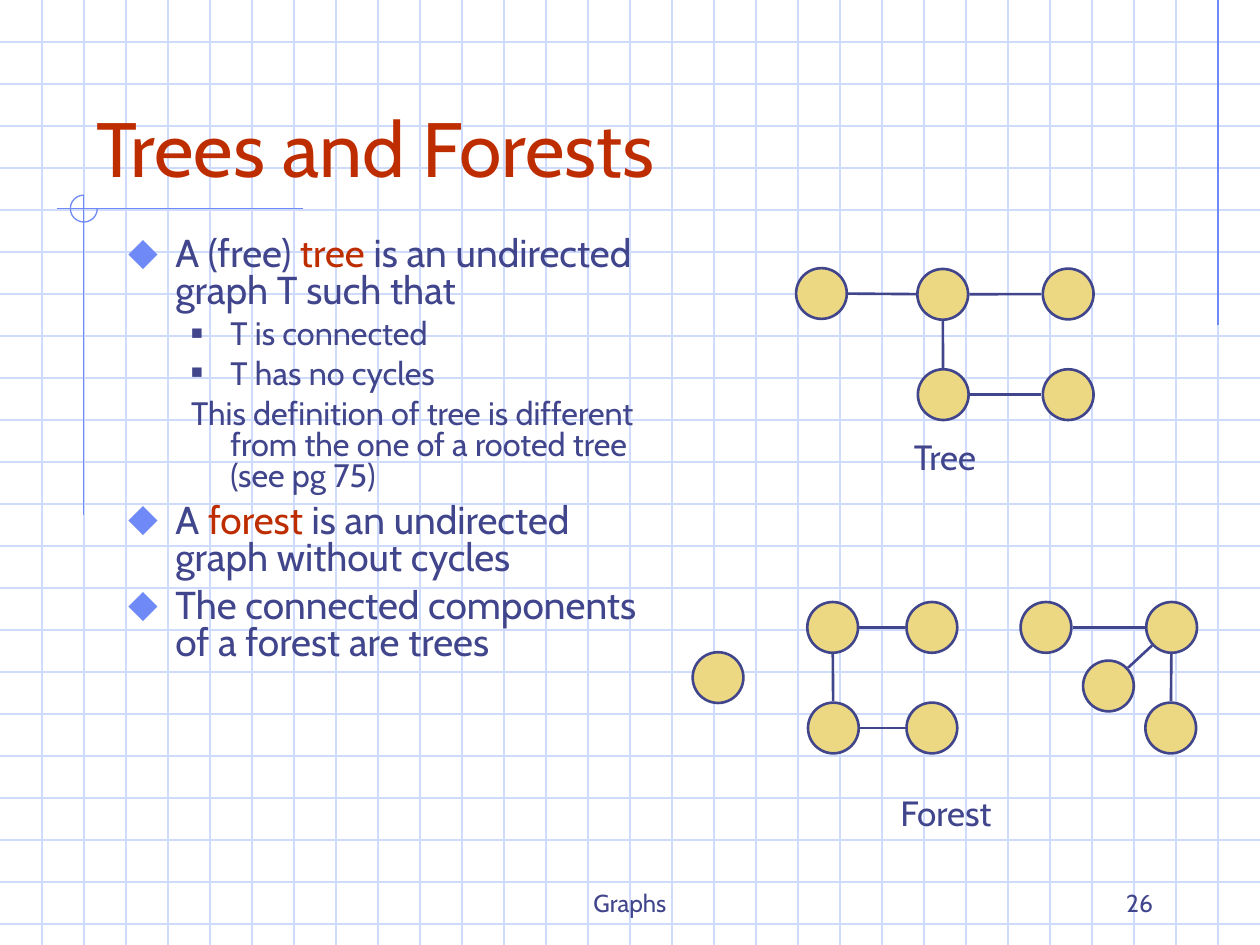
from math import hypot

from lxml import etree
from pptx import Presentation
from pptx.dml.color import RGBColor
from pptx.enum.shapes import MSO_CONNECTOR, MSO_SHAPE
from pptx.enum.text import MSO_ANCHOR, MSO_AUTO_SIZE, PP_ALIGN
from pptx.oxml.ns import qn
from pptx.util import Pt

STRAIGHT = MSO_CONNECTOR.STRAIGHT
ELLIPSE, ARC = MSO_SHAPE.OVAL, MSO_SHAPE.ARC
TOP, BOTTOM = MSO_ANCHOR.TOP, MSO_ANCHOR.BOTTOM
LEFT, CENTER, RIGHT = PP_ALIGN.LEFT, PP_ALIGN.CENTER, PP_ALIGN.RIGHT
NO_AUTOFIT = MSO_AUTO_SIZE.NONE

COLORS = {
    "grid": "CFDBFD",
    "accent": "6F89F7",
    "text": "40458C",
    "highlight": "BE2D00",
    "node": "ECD882",
}
FONT = "Cabin"
WIDTH, HEIGHT, GRID_STEP = 720, 540, 24
NODE_SIZE, EDGE_GAP = 29, 0.8

# Level: left margin, hanging indent, size, space before, bullet, its colour and percent
LEVELS = [
    (27, 27, 22.2, 6, "⬥", "accent", 110),
    (58.5, 22.5, 18.5, 5, "■", "text", 60),
]
# Level, has bullet, runs of (text, colour)
BODY = [
    (0, True, [("A (free) ", "text"), ("tree", "highlight"),
               (" is an undirected graph T such that", "text")]),
    (1, True, [("T is connected", "text")]),
    (1, True, [("T has no cycles", "text")]),
    (1, False, [("This definition of tree is different from the one "
                 "of a rooted tree (see pg 75)", "text")]),
    (0, True, [("A ", "text"), ("forest", "highlight"),
               (" is an undirected graph without cycles", "text")]),
    (0, True, [("The connected components of a forest are trees", "text")]),
]

# Node centres, and edges as pairs of node numbers
TREE_NODES = [(469.4, 167.7), (538.7, 168.2), (610.4, 168), (539, 225.5), (610.4, 225.5)]
TREE_EDGES = [(0, 1), (1, 2), (1, 3), (3, 4)]
FOREST_NODES = [
    (410.3, 387.2),
    (475.8, 358.5), (532.5, 358.5), (476.2, 416), (532.5, 416),
    (597.7, 358.5), (669.5, 358.5), (669, 416), (633.4, 392),
]
FOREST_EDGES = [(1, 2), (1, 3), (3, 4), (5, 6), (6, 7), (6, 8)]


def rgb(name):
    return RGBColor.from_string(COLORS[name])


def style_run(run, size, color):
    run.font.name = FONT
    run.font.size = Pt(size)
    run.font.color.rgb = rgb(color)


def place(box, left, top, width, height, anchor):
    box.left, box.top, box.width, box.height = Pt(left), Pt(top), Pt(width), Pt(height)
    frame = box.text_frame
    frame.word_wrap = True
    frame.auto_size = NO_AUTOFIT
    frame.vertical_anchor = anchor
    return frame


def add_line(shapes, start, end, color, weight=0.75):
    line = shapes.add_connector(STRAIGHT, *(Pt(value) for value in (*start, *end)))
    line.line.color.rgb = rgb(color)
    line.line.width = Pt(weight)
    etree.SubElement(line.element.spPr, qn("a:effectLst"))


def add_background(shapes):
    # Graph paper
    for y in range(GRID_STEP, HEIGHT, GRID_STEP):
        add_line(shapes, (0, y), (WIDTH, y), "grid")
    for x in range(GRID_STEP, WIDTH, GRID_STEP):
        add_line(shapes, (x, 0), (x, HEIGHT), "grid")
    # Accent lines and the open circle where two of them cross
    add_line(shapes, (696, 0), (696, 186), "accent")
    add_line(shapes, (32.5, 119.2), (173, 119.2), "accent")
    add_line(shapes, (47.9, 111.5), (47.9, 294.5), "accent")
    circle = shapes.add_shape(ARC, Pt(40.2), Pt(111.5), Pt(15.4), Pt(15.4))
    circle.adjustments[0] = 0
    circle.adjustments[1] = 162  # 270 degrees
    circle.shadow.inherit = False
    circle.fill.background()
    circle.line.color.rgb = rgb("accent")
    circle.line.width = Pt(0.75)


def fill_line(frame, text, size, color, alignment):
    frame.text = text
    paragraph = frame.paragraphs[0]
    paragraph.alignment = alignment
    style_run(paragraph.runs[0], size, color)


def add_label(shapes, text, left, top, width, height, size, alignment=CENTER, anchor=TOP):
    label = shapes.add_textbox(0, 0, 0, 0)
    frame = place(label, left, top, width, height, anchor)
    fill_line(frame, text, size, "text", alignment)


def set_bullet(properties, bullet, color, percent):
    bullet_color = etree.SubElement(properties, qn("a:buClr"))
    etree.SubElement(bullet_color, qn("a:srgbClr"), val=COLORS[color])
    etree.SubElement(properties, qn("a:buSzPct"), val=str(percent * 1000))
    etree.SubElement(properties, qn("a:buChar"), char=bullet)


def fill_body(frame):
    for index, (level, bulleted, runs) in enumerate(BODY):
        margin, hanging, size, before, bullet, color, percent = LEVELS[level]
        paragraph = frame.paragraphs[0] if index == 0 else frame.add_paragraph()
        paragraph.level = level
        paragraph.alignment = LEFT
        paragraph.line_spacing = 0.8
        paragraph.space_before = Pt(before if index else 0)
        properties = paragraph._p.get_or_add_pPr()
        properties.set("marL", str(Pt(margin)))
        properties.set("indent", str(-Pt(hanging)))
        if bulleted:
            set_bullet(properties, bullet, color, percent)
        else:
            etree.SubElement(properties, qn("a:buNone"))
        for text, run_color in runs:
            run = paragraph.add_run()
            run.text = text
            style_run(run, size, run_color)


def add_edge(shapes, start, end):
    """Draw the line between two node centres, stopping just outside each node."""
    dx, dy = end[0] - start[0], end[1] - start[1]
    share = (NODE_SIZE / 2 + EDGE_GAP) / hypot(dx, dy)
    add_line(shapes, (start[0] + dx * share, start[1] + dy * share),
             (end[0] - dx * share, end[1] - dy * share), "text", 1.5)


def add_graph(shapes, nodes, edges):
    for x, y in nodes:
        node = shapes.add_shape(ELLIPSE, Pt(x - NODE_SIZE / 2), Pt(y - NODE_SIZE / 2),
                                Pt(NODE_SIZE), Pt(NODE_SIZE))
        node.shadow.inherit = False
        node.fill.solid()
        node.fill.fore_color.rgb = rgb("node")
        node.line.color.rgb = rgb("text")
        node.line.width = Pt(1.5)
    for first, second in edges:
        add_edge(shapes, nodes[first], nodes[second])


def main():
    prs = Presentation()
    prs.slide_width, prs.slide_height = Pt(WIDTH), Pt(HEIGHT)
    slide = prs.slides.add_slide(prs.slide_layouts[1])
    shapes = slide.shapes
    add_background(shapes)

    # Title and list, raised above the graph paper
    title, body = shapes.title, slide.placeholders[1]
    for placeholder in (title, body):
        placeholder.element.getparent().append(placeholder.element)
    fill_line(place(title, 48, 24, 612, 90, BOTTOM), "Trees and Forests", 44, "highlight", LEFT)
    fill_body(place(body, 66, 132, 306, 354, TOP))

    # Example graphs
    add_label(shapes, "Tree", 427.5, 245.5, 225, 31.5, 20)
    add_label(shapes, "Forest", 397, 448.5, 287, 31.5, 20)
    add_graph(shapes, TREE_NODES, TREE_EDGES)
    add_graph(shapes, FOREST_NODES, FOREST_EDGES)

    # Footer
    add_label(shapes, "Graphs", 246, 492, 228, 36, 14, CENTER, BOTTOM)
    add_label(shapes, "26", 516, 492, 150, 36, 14, RIGHT, BOTTOM)
    prs.save("out.pptx")


if __name__ == "__main__":
    main()
